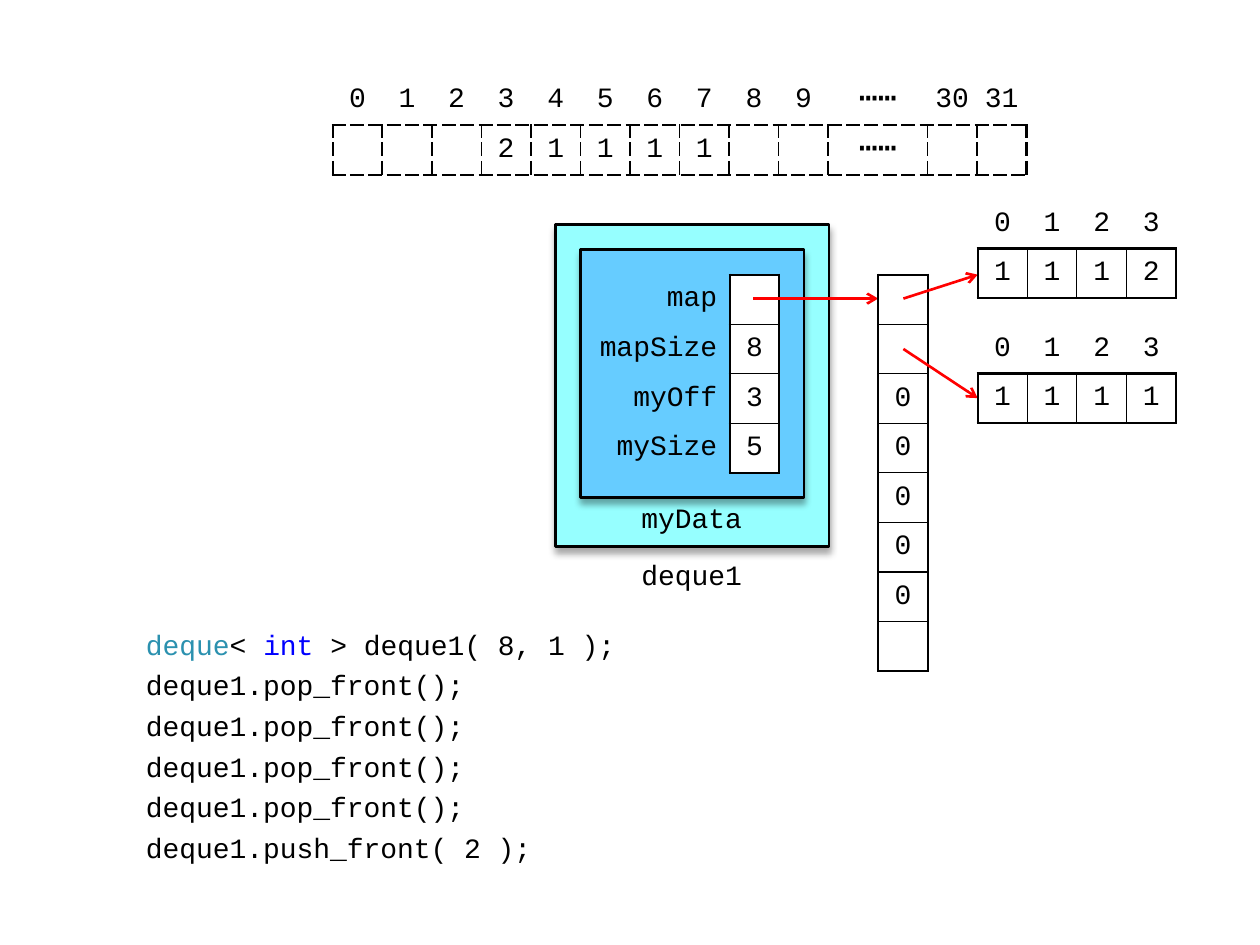
from lxml import etree
from pptx import Presentation
from pptx import util as u
from pptx.dml import color
from pptx.enum import shapes, text
from pptx.oxml import ns

INKS = {
    "black": "000000",
    "white": "FFFFFF",
    "aqua": "96FFFF",
    "sky": "66CCFF",
    "red": "FF0000",
    "teal": "2B91AF",
    "blue": "0000FF",
}
FONT = "Courier New"
CELL = 1 / 2.54
PLAIN = "{2D5ABB26-0587-4C30-8999-92F81FD0307C}"
DOTS = "⋯⋯"
LEFT, MID = text.PP_ALIGN.LEFT, text.PP_ALIGN.CENTER
RIGHT = text.PP_ALIGN.RIGHT


def ink(name):
    return color.RGBColor.from_string(INKS[name])


def node(up, tag, **attrs):
    return etree.SubElement(up, ns.qn(tag), attrs)


def add_run(para, words, hue="black", size=16):
    run = para.add_run()
    run.text = words
    run.font.name = FONT
    run.font.size = u.Pt(size)
    run.font.color.rgb = ink(hue)


def add_box(slide, place, hue):
    kind = shapes.MSO_SHAPE.FLOWCHART_PROCESS
    box = slide.shapes.add_shape(kind, *map(u.Inches, place))
    box.shadow.inherit = False
    box.fill.solid()
    box.fill.fore_color.rgb = ink(hue)
    box.line.color.rgb = ink("black")
    box.line.width = u.Pt(1.5)
    shade = node(box._element.spPr.find(ns.qn("a:effectLst")), "a:outerShdw",
                 blurRad=str(u.Pt(4)), dist=str(u.Pt(3)), dir="5400000",
                 rotWithShape="0")
    tint = node(shade, "a:srgbClr", val=INKS["black"])
    node(tint, "a:alpha", val="35000")


def add_text(slide, place, lines, align=LEFT, pads=(0.1, 0.05, 0.05),
             anchor=text.MSO_ANCHOR.TOP, gap=0):
    frame = slide.shapes.add_textbox(*map(u.Inches, place)).text_frame
    frame.word_wrap = True
    frame.vertical_anchor = anchor
    side, top, base = map(u.Inches, pads)
    frame.margin_left = frame.margin_right = side
    frame.margin_top, frame.margin_bottom = top, base
    for i, runs in enumerate(lines):
        para = frame.add_paragraph() if i else frame.paragraphs[0]
        para.alignment = align
        if i:
            para.space_before = u.Pt(gap)
        for words, hue in runs:
            add_run(para, words, hue)


def add_arrow(slide, start, end):
    kind = shapes.MSO_CONNECTOR.STRAIGHT
    arrow = slide.shapes.add_connector(kind, *map(u.Inches, start + end))
    arrow.line.color.rgb = ink("red")
    arrow.line.width = u.Pt(1.5)
    node(arrow.line._get_or_add_ln(), "a:tailEnd", type="arrow")
    node(arrow._element.spPr, "a:effectLst")


def add_edge(cell, side, width, dash):
    edge = node(cell._tc.get_or_add_tcPr(), "a:ln" + side,
                w=str(u.Pt(width)))
    node(node(edge, "a:solidFill"), "a:srgbClr", val=INKS["black"])
    node(edge, "a:prstDash", val=dash)


def fill_cell(cell, words, align):
    pad = 0.1 if align == RIGHT else 0.04
    cell.margin_left = cell.margin_right = u.Inches(pad)
    cell.margin_top = cell.margin_bottom = u.Inches(0.04)
    cell.vertical_anchor = text.MSO_ANCHOR.MIDDLE
    para = cell.text_frame.paragraphs[0]
    para.alignment = align
    if words:
        add_run(para, words, size=18 if words == DOTS else 16)


def add_grid(slide, left, top, rows, head=0, side=0, wide=None,
             inner=0.75, dash="solid"):
    tall, broad = len(rows), len(rows[0])
    spans = [CELL * (wide or {}).get(c, 1) for c in range(broad)]
    table = slide.shapes.add_table(
        tall, broad, u.Inches(left), u.Inches(top),
        u.Inches(sum(spans)), u.Inches(CELL * tall)).table
    table.first_row = table.horz_banding = False
    table._tbl.tblPr.find(ns.qn("a:tableStyleId")).text = PLAIN
    for col, span in zip(table.columns, spans):
        col.width = u.Inches(span)
    for r, row in enumerate(rows):
        table.rows[r].height = u.Inches(CELL)
        for c, words in enumerate(row):
            cell = table.cell(r, c)
            fill_cell(cell, words, RIGHT if c < side else MID)
            if r < head or c < side:
                cell.fill.background()
                continue
            outer = {"L": c == side, "R": c == broad - 1,
                     "T": r == head, "B": r == tall - 1}
            for name, rim in outer.items():
                add_edge(cell, name, 1.5 if rim else inner, dash)
            cell.fill.solid()
            cell.fill.fore_color.rgb = ink("white")


def add_code(slide):
    first = [("deque", "teal"), ("< ", "black"), ("int", "blue"),
             (" > deque1( 8, 1 );", "black")]
    calls = ["deque1.pop_front();"] * 4 + ["deque1.push_front( 2 );"]
    lines = [first] + [[(call, "black")] for call in calls]
    add_text(slide, (1.06, 4.93, 4.92, 1.97), lines, gap=4)


def main():
    deck = Presentation()
    deck.slide_width, deck.slide_height = u.Inches(10), u.Inches(7.5)
    slide = deck.slides.add_slide(deck.slide_layouts[6])

    add_box(slide, (4.41, 1.78, 2.17, 2.56), "aqua")
    add_box(slide, (4.61, 1.98, 1.77, 1.97), "sky")
    add_text(slide, (4.8, 4.34, 1.38, 0.39), [[("deque1", "black")]], MID,
             (0.08, 0.04, 0), text.MSO_ANCHOR.MIDDLE)
    add_text(slide, (5, 3.95, 0.98, 0.39), [[("myData", "black")]], MID,
             (0.08, 0.02, 0))
    add_code(slide)

    parts = [("map", ""), ("mapSize", "8"), ("myOff", "3"), ("mySize", "5")]
    add_grid(slide, 4.61, 2.18, parts, side=1, wide={0: 3})
    add_arrow(slide, (5.98, 2.37), (6.97, 2.37))
    slots = ["", ""] + ["0"] * 5 + [""]
    add_grid(slide, 6.97, 2.18, [[slot] for slot in slots])

    marks = [str(n) for n in range(10)] + [DOTS, "30", "31"]
    items = [""] * 3 + list("21111") + ["", "", DOTS, "", ""]
    add_grid(slide, 2.64, 0.6, [marks, items], head=1, wide={10: 2},
             inner=1, dash="sysDash")

    blocks = [(2.57, "1111", 2.77, 3.16), (1.58, "1112", 2.37, 2.18)]
    for top, block, start, end in blocks:
        add_arrow(slide, (7.17, start), (7.76, end))
        add_grid(slide, 7.76, top, ["0123", block], head=1)

    deck.save("out.pptx")


if __name__ == "__main__":
    main()
